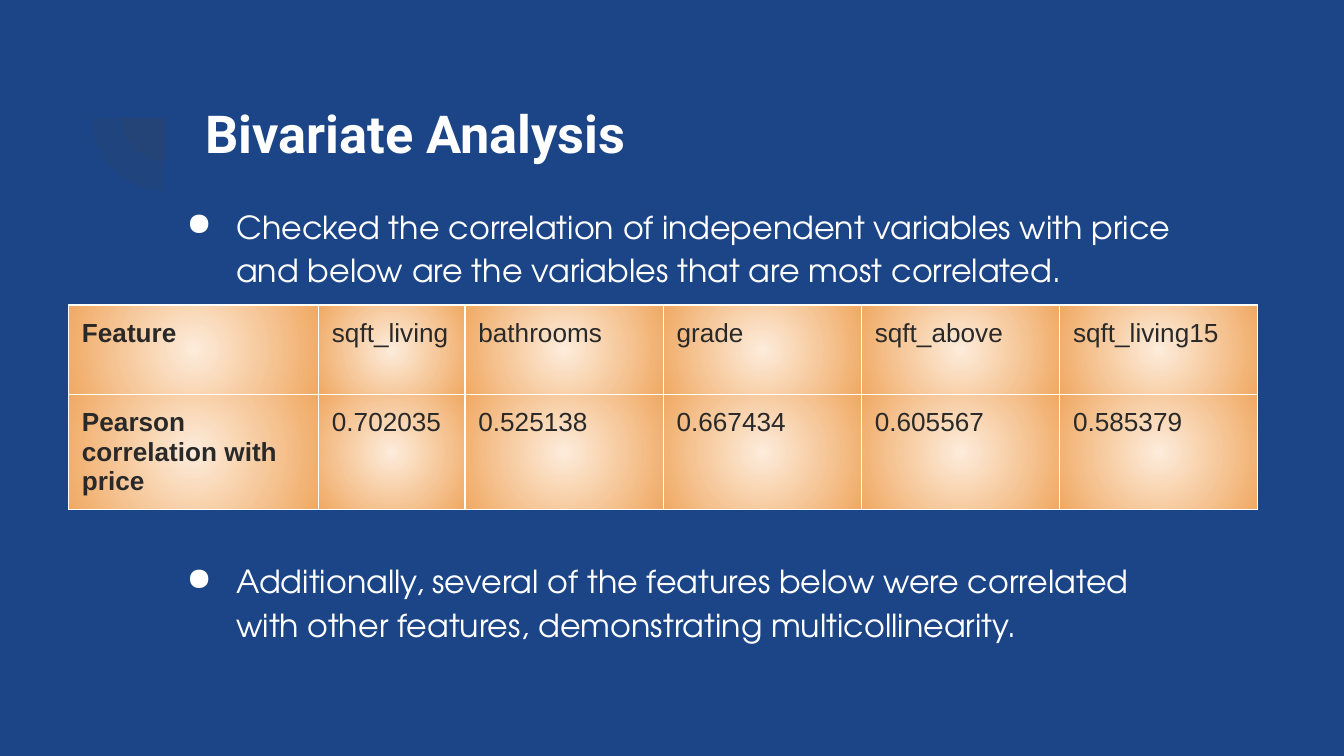
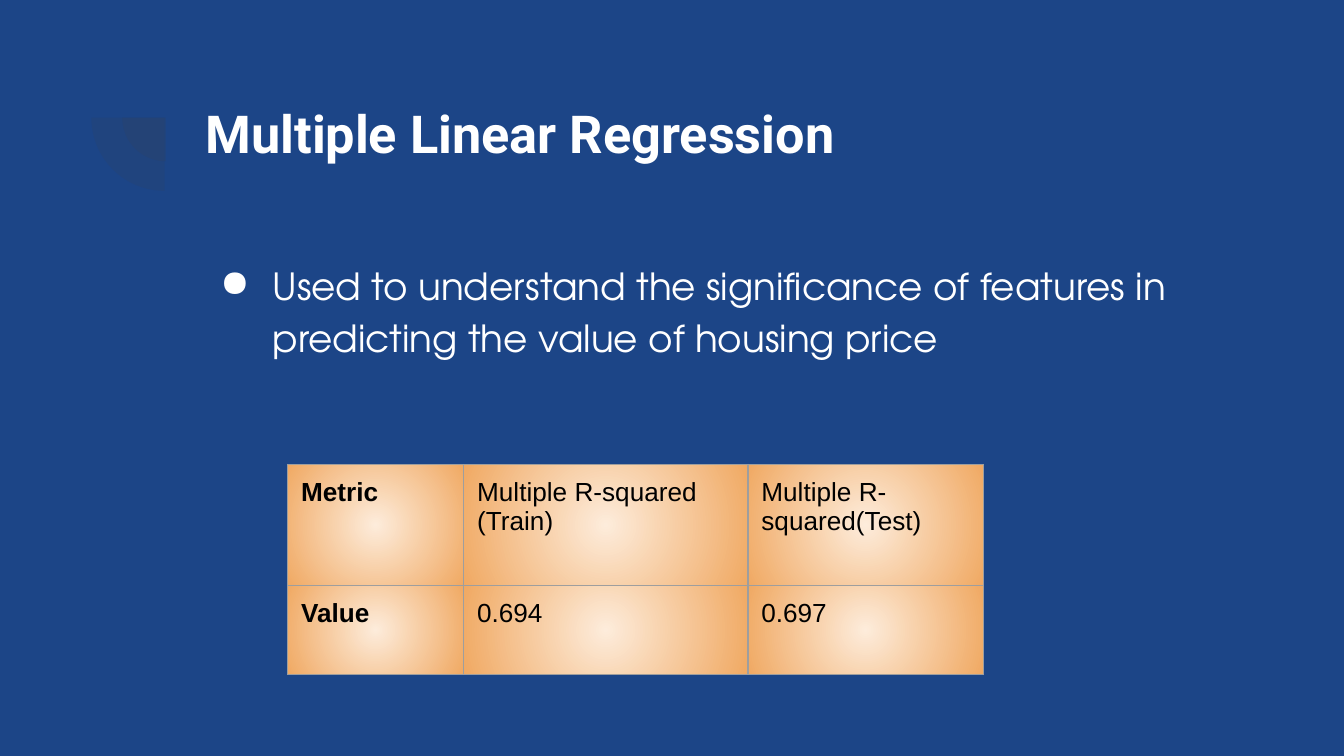
"""Build two slides on correlation and regression of housing prices."""
from dataclasses import dataclass

from lxml import etree
from pptx import Presentation
from pptx import util as u
from pptx.dml.color import RGBColor
from pptx.enum import shapes, text
from pptx.oxml import ns

PX = u.Inches(1) // 200
NAVY, WHITE, CHARCOAL, BLACK, GREY = "1C4587", "FFFFFF", "292929", "000000", "9E9E9E"
PIE_GREY, CREAM, ORANGE = "424242", "FDECDB", "F0A963"
TITLE_FONT, BODY_FONT, TABLE_FONT = "Roboto", "TeX Gyre Adventor", "Arial"
INSET = 20


@dataclass(frozen=True)
class Box:
    left: int
    top: int
    width: int
    height: int

    def emu(self) -> tuple[int, ...]:
        return tuple(v * PX for v in (self.left, self.top, self.width, self.height))


@dataclass(frozen=True)
class Bullets:
    box: Box
    size: int
    hanging: int
    gap: int
    lines: tuple[str, ...]


@dataclass(frozen=True)
class Grid:
    left: int
    top: int
    columns: tuple[int, ...]
    rows: tuple[int, ...]
    ink: str
    border: str
    cells: tuple[tuple[str, ...], ...]


@dataclass(frozen=True)
class Page:
    title: str
    bullets: Bullets
    grid: Grid


TITLE_BOX = Box(286, 130, 1538, 218)
PIES = (Box(182, 110, 130, 130), Box(136, 66, 218, 218))
PAGES = (
    Page(
        "Bivariate Analysis",
        Bullets(Box(232, 280, 1538, 662), 17, 74, 143, (
            "Checked the correlation of independent variables with price "
            "and below are the variables that are most correlated.",
            "Additionally, several of the features below were correlated "
            "with other features, demonstrating multicollinearity.",
        )),
        Grid(102, 454, (372, 218) + (295,) * 4, (133, 133), CHARCOAL, WHITE, (
            ("Feature", "sqft_living", "bathrooms", "grade", "sqft_above", "sqft_living15"),
            ("Pearson correlation with price", "0.702035", "0.525138", "0.667434",
             "0.605567", "0.585379"),
        )),
    ),
    Page(
        "Multiple Linear Regression",
        Bullets(Box(286, 362, 1538, 200), 20, 78, 0, (
            "Used to understand the significance of features in "
            "predicting the value of housing price",
        )),
        Grid(428, 691, (262, 423, 350), (180, 133), BLACK, GREY, (
            ("Metric", "Multiple R-squared\n(Train)", "Multiple R-squared(Test)"),
            ("Value", "0.694", "0.697"),
        )),
    ),
)


def color(value: str) -> RGBColor:
    return RGBColor.from_string(value)


def add_xml(parent, tag: str, **attributes):
    child = etree.SubElement(parent, ns.qn(f"a:{tag}"))
    for key, value in attributes.items():
        child.set(key, str(value))
    return child


def style_runs(frame, font: str, size: int, ink: str, bold: bool = False) -> None:
    for paragraph in frame.paragraphs:
        for run in paragraph.runs:
            run.font.name = font
            run.font.size = u.Pt(size)
            run.font.bold = bold
            run.font.color.rgb = color(ink)


def set_frame(frame) -> None:
    frame.word_wrap = True
    frame.auto_size = text.MSO_AUTO_SIZE.NONE
    frame.vertical_anchor = text.MSO_ANCHOR.TOP
    frame.margin_left = frame.margin_right = INSET * PX
    frame.margin_top = frame.margin_bottom = INSET * PX


def add_pie(slide, box: Box) -> None:
    pie = slide.shapes.add_shape(shapes.MSO_SHAPE.PIE, *box.emu())
    pie.adjustments[0], pie.adjustments[1] = 108, 162
    pie.rotation = 270
    pie.shadow.inherit = False
    pie.line.fill.background()
    pie.fill.solid()
    pie.fill.fore_color.rgb = color(PIE_GREY)
    add_xml(next(pie.fill._xPr.iter(ns.qn("a:srgbClr"))), "alpha", val=13000)


def set_title(slide, wording: str) -> None:
    title = slide.shapes.title
    title.left, title.top, title.width, title.height = TITLE_BOX.emu()
    frame = title.text_frame
    frame.text = wording
    set_frame(frame)
    frame.paragraphs[0].alignment = text.PP_ALIGN.LEFT
    style_runs(frame, TITLE_FONT, 28, WHITE, bold=True)


def add_bullets(slide, bullets: Bullets) -> None:
    frame = slide.shapes.add_textbox(*bullets.box.emu()).text_frame
    set_frame(frame)
    frame.text = "\n".join(bullets.lines)
    for index, paragraph in enumerate(frame.paragraphs):
        paragraph.line_spacing = 1.15
        paragraph.space_before = u.Pt(bullets.gap if index else 0)
        properties = paragraph._p.get_or_add_pPr()
        properties.set("marL", str(100 * PX))
        properties.set("indent", str(-bullets.hanging * PX))
        add_xml(add_xml(properties, "buClr"), "srgbClr", val=WHITE)
        add_xml(properties, "buChar", char="●")
    style_runs(frame, BODY_FONT, bullets.size, WHITE)


def style_cell(cell, border: str) -> None:
    properties = cell._tc.get_or_add_tcPr()
    for side in ("lnL", "lnR", "lnT", "lnB"):
        line = add_xml(properties, side, w=u.Pt(0.75))
        add_xml(add_xml(line, "solidFill"), "srgbClr", val=border)
    gradient = add_xml(properties, "gradFill", rotWithShape=1)
    stops = add_xml(gradient, "gsLst")
    for position, shade in ((0, CREAM), (100000, ORANGE)):
        add_xml(add_xml(stops, "gs", pos=position), "srgbClr", val=shade)
    glow = add_xml(gradient, "path", path="circle")
    add_xml(glow, "fillToRect", l=50000, t=50000, r=50000, b=50000)


def add_grid(slide, grid: Grid) -> None:
    box = Box(grid.left, grid.top, sum(grid.columns), sum(grid.rows))
    table = slide.shapes.add_table(len(grid.rows), len(grid.columns), *box.emu()).table
    table.first_row = table.horz_banding = False
    for column, width in zip(table.columns, grid.columns):
        column.width = width * PX
    for row, height, wordings in zip(table.rows, grid.rows, grid.cells):
        row.height = height * PX
        for index, (cell, wording) in enumerate(zip(row.cells, wordings)):
            cell.text_frame.text = wording
            cell.margin_left = cell.margin_right = INSET * PX
            cell.margin_top = cell.margin_bottom = INSET * PX
            style_runs(cell.text_frame, TABLE_FONT, 14, grid.ink, bold=index == 0)
            style_cell(cell, grid.border)


def main() -> None:
    deck = Presentation()
    deck.slide_width, deck.slide_height = 2000 * PX, 1125 * PX
    backdrop = deck.slide_master.background.fill
    backdrop.solid()
    backdrop.fore_color.rgb = color(NAVY)
    for page in PAGES:
        slide = deck.slides.add_slide(deck.slide_layouts.get_by_name("Title Only"))
        for pie in PIES:
            add_pie(slide, pie)
        set_title(slide, page.title)
        add_bullets(slide, page.bullets)
        add_grid(slide, page.grid)
    deck.save("out.pptx")


if __name__ == "__main__":
    main()
